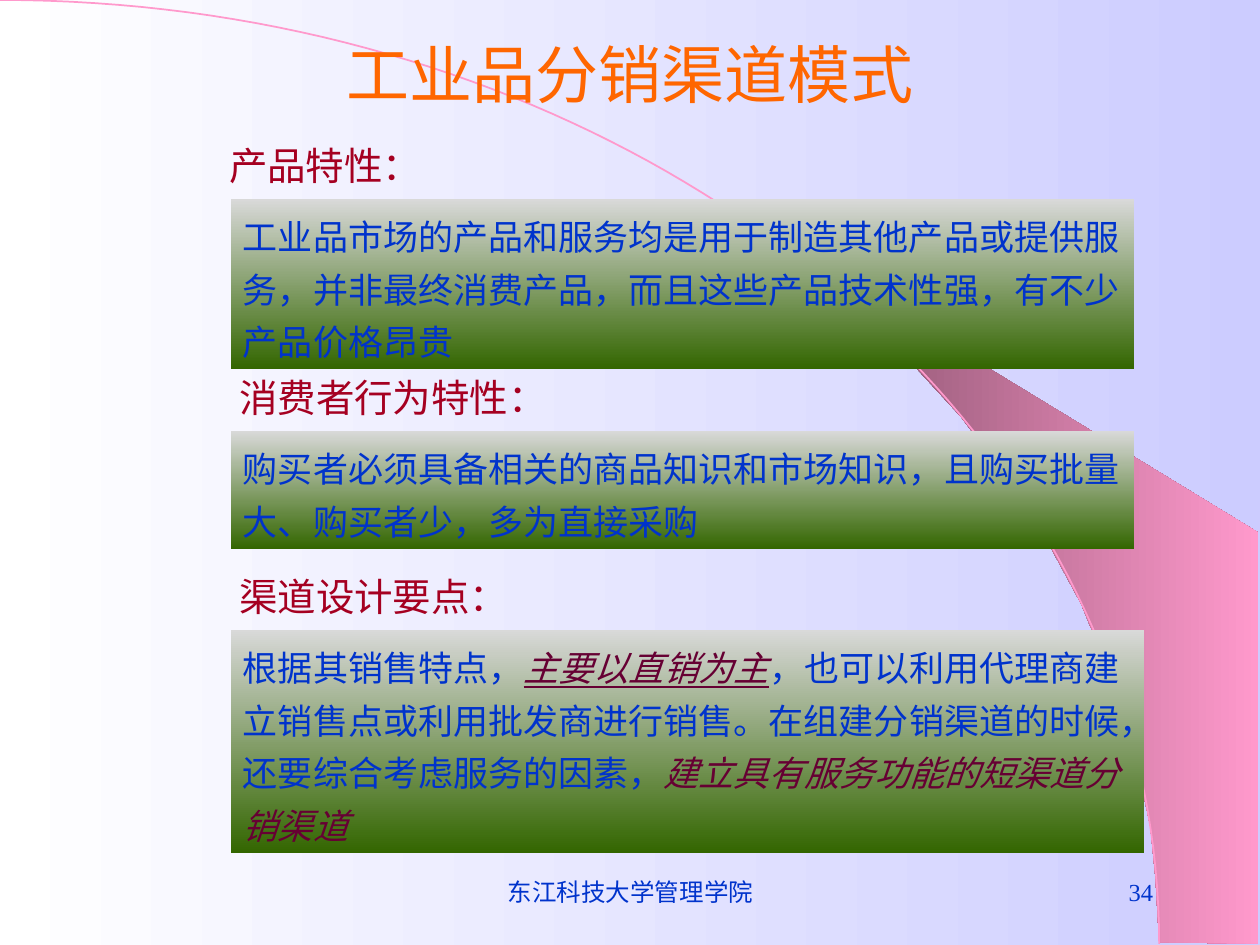
from lxml.etree import SubElement
from pptx import Presentation
from pptx.dml.color import RGBColor
from pptx.enum.shapes import MSO_SHAPE
from pptx.enum.text import MSO_ANCHOR, MSO_AUTO_SIZE, PP_ALIGN
from pptx.oxml.ns import qn
from pptx.util import Inches, Pt

COLORS = {
    "white": "FFFFFF", "lavender": "CCCCFF", "plum": "76475E", "pink": "FF99CC",
    "gray": "D9D9D9", "green": "336600", "orange": "FF6600",
    "red": "A50021", "blue": "0033CC", "wine": "660033",
}
CJK = "Noto Sans CJK SC"
SERIF = "Times New Roman"


def set_gradient(fill, start, end, angle=0):
    fill.gradient()
    fill.gradient_angle = angle
    for stop, position, color in zip(fill.gradient_stops, (0, 1), (start, end)):
        stop.position = position
        stop.color.rgb = RGBColor.from_string(COLORS[color])


def write_text(shape, spans, size, font=CJK, frame_format=None, para_format=None):
    frame = shape.text_frame
    frame.word_wrap = True
    for name, value in (frame_format or {}).items():
        setattr(frame, name, value)
    para = frame.paragraphs[0]
    for name, value in ({"alignment": PP_ALIGN.LEFT} | (para_format or {})).items():
        setattr(para, name, value)
    for text, color, styles in spans:
        span = para.add_run()
        span.text = text
        for name, value in ({"size": Pt(size), "name": font} | styles).items():
            setattr(span.font, name, value)
        span.font.color.rgb = RGBColor.from_string(COLORS[color])
        SubElement(span.font._element, qn("a:ea"), typeface=CJK)


deck = Presentation()
deck.slide_width, deck.slide_height = Inches(10), Inches(7.5)
page = deck.slides.add_slide(deck.slide_layouts[5])
set_gradient(page.background.fill, "white", "lavender")

# Pink ribbon on the right
ribbon_points = [
    (9.2, 7.48), (9.99, 7.49), (9.99, 4.23), (5.89, 1.73), (6.24, 1.99), (6.53, 2.22),
    (6.85, 2.5), (7.16, 2.8), (7.62, 3.3), (8.03, 3.84), (8.32, 4.31), (8.58, 4.79),
    (8.78, 5.28), (8.93, 5.72), (9.03, 6.09), (9.13, 6.56), (9.17, 6.96),
]
# Quarter arc as a cubic curve from the top left corner to the bottom
arc_points = []
for step in range(81):
    t = step / 80
    arc_points.append((
        3 * t * (1 - t) ** 2 * 5.08 + (3 * t ** 2 * (1 - t) + t ** 3) * 9.2,
        3 * t ** 2 * (1 - t) * 3.35 + t ** 3 * 7.49,
    ))

outlines = []
for points, closed in ((ribbon_points, True), (arc_points, False)):
    corners = [(Inches(x), Inches(y)) for x, y in points]
    builder = page.shapes.build_freeform(*corners[0])
    builder.add_line_segments(corners[1:], close=closed)
    outline = builder.convert_to_shape()
    outline.shadow.inherit = False
    outlines.append(outline)
ribbon, arc = outlines
set_gradient(ribbon.fill, "plum", "pink")
ribbon.line.fill.background()
arc.fill.background()
arc.line.color.rgb = RGBColor.from_string(COLORS["pink"])
arc.line.width = Pt(1)

# Section headings, each above its text panel
sections = [
    ("产品特性：", (1.72, 1.08, 1.95), (1.58, 7.17, 1.35), [
        ("工业品市场的产品和服务均是用于制造其他产品或提供服务，并非最终消费产品，"
         "而且这些产品技术性强，有不少产品价格昂贵", "blue", {}),
    ]),
    ("消费者行为特性：", (1.8, 2.92, 2.75), (3.42, 7.17, 0.94), [
        ("购买者必须具备相关的商品知识和市场知识，且购买批量大、购买者少，多为直接采购",
         "blue", {}),
    ]),
    ("渠道设计要点：", (1.8, 4.5, 2.42), (5, 7.25, 1.77), [
        ("根据其销售特点，", "blue", {}),
        ("主要以直销为主", "wine", {"italic": True, "underline": True}),
        ("，也可以利用代理商建立销售点或利用批发商进行销售。在组建分销渠道的时候，"
         "还要综合考虑服务的因素，", "blue", {}),
        ("建立具有服务功能的短渠道分销渠道", "wine", {"italic": True}),
    ]),
]
grow = {"auto_size": MSO_AUTO_SIZE.SHAPE_TO_FIT_TEXT, "vertical_anchor": MSO_ANCHOR.TOP}
for heading, (left, top, width), (panel_top, panel_width, panel_height), spans in sections:
    box = page.shapes.add_textbox(Inches(left), Inches(top), Inches(width), Inches(0.47))
    write_text(box, [(heading, "red", {})], 22, frame_format=grow,
               para_format={"space_before": Pt(13.8)})
    panel = page.shapes.add_shape(MSO_SHAPE.RECTANGLE, Inches(1.83), Inches(panel_top),
                                  Inches(panel_width), Inches(panel_height))
    panel.shadow.inherit = False
    panel.line.fill.background()
    set_gradient(panel.fill, "gray", "green", 270)
    write_text(panel, spans, 20, frame_format=grow,
               para_format={"space_before": Pt(12.5), "line_spacing": Pt(30)})

# Title, brought in front of the arc
title = page.shapes.title
title.left, title.top, title.width, title.height = (
    Inches(value) for value in (0.75, 0.23, 8.5, 0.7))
middle = {"auto_size": MSO_AUTO_SIZE.NONE, "vertical_anchor": MSO_ANCHOR.MIDDLE}
write_text(title, [("工业品分销渠道模式", "orange", {})], 36, frame_format=middle,
           para_format={"alignment": PP_ALIGN.CENTER})
title.element.getparent().append(title.element)

# Page number and footer
for text, left, width, alignment in (
    ("34", 7.17, 2.08, PP_ALIGN.RIGHT),
    ("东江科技大学管理学院", 3.42, 3.17, PP_ALIGN.CENTER),
):
    box = page.shapes.add_textbox(Inches(left), Inches(6.83), Inches(width), Inches(0.5))
    write_text(box, [(text, "blue", {})], 14, SERIF, middle, {"alignment": alignment})

deck.save("out.pptx")
